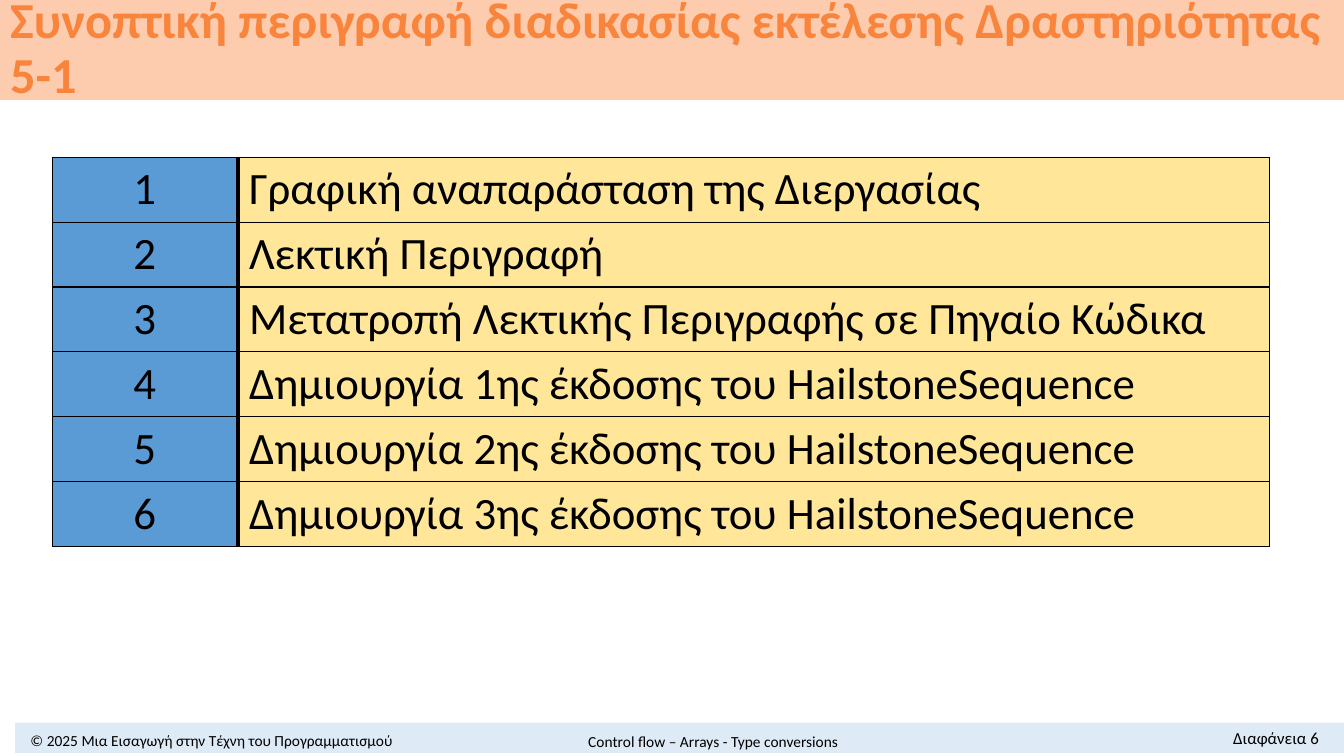
from dataclasses import dataclass

from lxml.etree import SubElement
from pptx import Presentation
from pptx.dml.color import RGBColor as RGB
from pptx.enum.shapes import MSO_SHAPE as Shape
from pptx.enum.text import MSO_ANCHOR as Anchor, MSO_AUTO_SIZE as AutoSize, PP_ALIGN as Align
from pptx.oxml.ns import qn
from pptx.util import Inches, Pt

TITLE = "Συνοπτική περιγραφή διαδικασίας εκτέλεσης Δραστηριότητας 5-1"
STEPS = [
    "Γραφική αναπαράσταση της Διεργασίας",
    "Λεκτική Περιγραφή",
    "Μετατροπή Λεκτικής Περιγραφής σε Πηγαίο Κώδικα",
    "Δημιουργία 1ης έκδοσης του HailstoneSequence",
    "Δημιουργία 2ης έκδοσης του HailstoneSequence",
    "Δημιουργία 3ης έκδοσης του HailstoneSequence",
]
NUMBERS = [str(n) for n in range(1, len(STEPS) + 1)]


@dataclass(frozen=True)
class Theme:
    font: str = "Calibri"
    text: str = "000000"
    title: str = "F9853D"
    title_band: str = "FDCBAD"
    footer_band: str = "DEEBF7"
    number_fill: str = "5B9BD5"
    step_fill: str = "FFE699"
    title_size: int = 36
    table_size: int = 32
    footer_size: int = 11
    page_size: int = 12


THEME = Theme()
SLIDE_W, SLIDE_H = 13.33, 7.5
TABLE_TOP, TABLE_H = 1.56, 3.8

# text, (left, top, width, height), alignment, anchor, size
FOOTERS = [
    ("© 2025 Μια Εισαγωγή στην Τέχνη του Προγραμματισμού",
     (0, 7.22, 4.2, 0.26), Align.CENTER, Anchor.MIDDLE, THEME.footer_size),
    ("Διαφάνεια 6", (11.12, 7.17, 2.06, 0.3), Align.RIGHT, Anchor.TOP, THEME.page_size),
    ("Control flow – Arrays - Type conversions",
     (4.54, 7.21, 5.07, 0.3), Align.CENTER, Anchor.MIDDLE, THEME.footer_size),
]

# texts, left, width, fill, alignment
TABLES = [
    (NUMBERS, 0.52, 1.83, THEME.number_fill, Align.CENTER),
    (STEPS, 2.37, 10.22, THEME.step_fill, Align.LEFT),
]


def paint(target, color):
    target.fill.solid()
    target.fill.fore_color.rgb = RGB.from_string(color)


def write(tf, text, size, align, color=THEME.text, bold=False):
    p = tf.paragraphs[0]
    p.alignment = align
    r = p.add_run()
    r.text = text
    r.font.name = THEME.font
    r.font.size = Pt(size)
    r.font.bold = bold
    r.font.color.rgb = RGB.from_string(color)
    return p


def add_borders(cell):
    """Draw the four edges; they must precede the fill in the cell properties."""
    props = cell._tc.get_or_add_tcPr()
    for edge in ("a:lnL", "a:lnR", "a:lnT", "a:lnB"):
        ln = SubElement(props, qn(edge), w=str(Pt(1)))
        SubElement(SubElement(ln, qn("a:solidFill")), qn("a:srgbClr"), val=THEME.text)


def add_title(s):
    sp = s.shapes.title
    sp.left, sp.top, sp.width, sp.height = map(Inches, (0, 0, SLIDE_W, 0.99))
    paint(sp, THEME.title_band)
    tf = sp.text_frame
    tf.word_wrap = True
    tf.auto_size = AutoSize.NONE
    tf.vertical_anchor = Anchor.MIDDLE
    p = write(tf, TITLE, THEME.title_size, Align.LEFT, THEME.title, True)
    p.line_spacing = 0.9


def add_column(s, texts, left, width, fill, align):
    frame = s.shapes.add_table(len(texts), 1, *map(Inches, (left, TABLE_TOP, width, TABLE_H)))
    table = frame.table
    table.first_row = table.horz_banding = False
    for row, text in zip(table.rows, texts):
        row.height = Inches(TABLE_H / len(texts))
        cell = row.cells[0]
        add_borders(cell)
        paint(cell, fill)
        write(cell.text_frame, text, THEME.table_size, align)


def add_footer(s, text, box, align, anchor, size):
    tf = s.shapes.add_textbox(*map(Inches, box)).text_frame
    tf.word_wrap = True
    tf.vertical_anchor = anchor
    write(tf, text, size, align)


def main():
    prs = Presentation()
    prs.slide_width, prs.slide_height = Inches(SLIDE_W), Inches(SLIDE_H)
    s = prs.slides.add_slide(prs.slide_layouts[5])
    band = s.shapes.add_shape(Shape.RECTANGLE, *map(Inches, (0.15, 7.17, SLIDE_W - 0.15, 0.3)))
    band.shadow.inherit = False
    band.line.fill.background()
    paint(band, THEME.footer_band)
    add_title(s)
    for column in TABLES:
        add_column(s, *column)
    for footer in FOOTERS:
        add_footer(s, *footer)
    prs.save("out.pptx")


if __name__ == "__main__":
    main()
